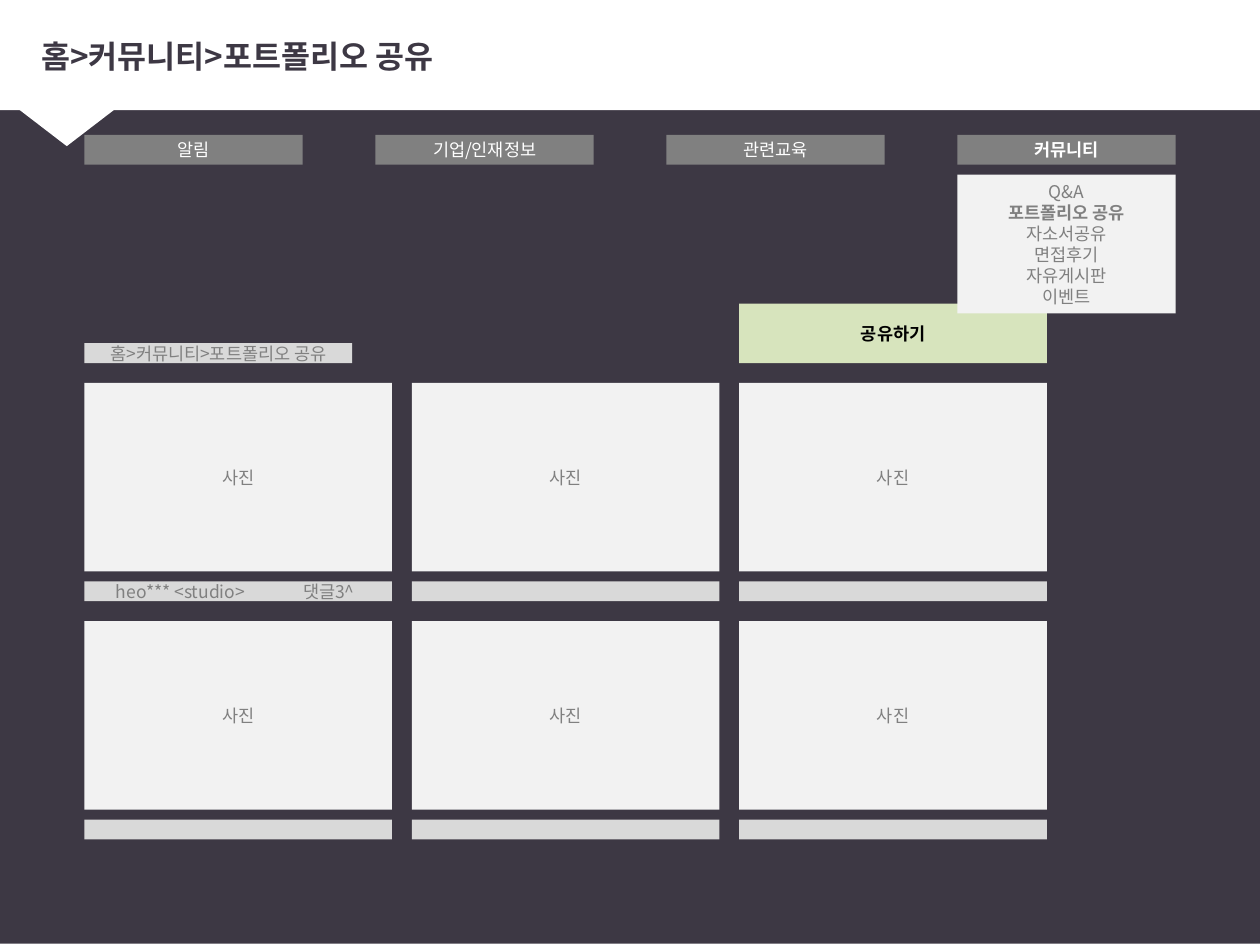
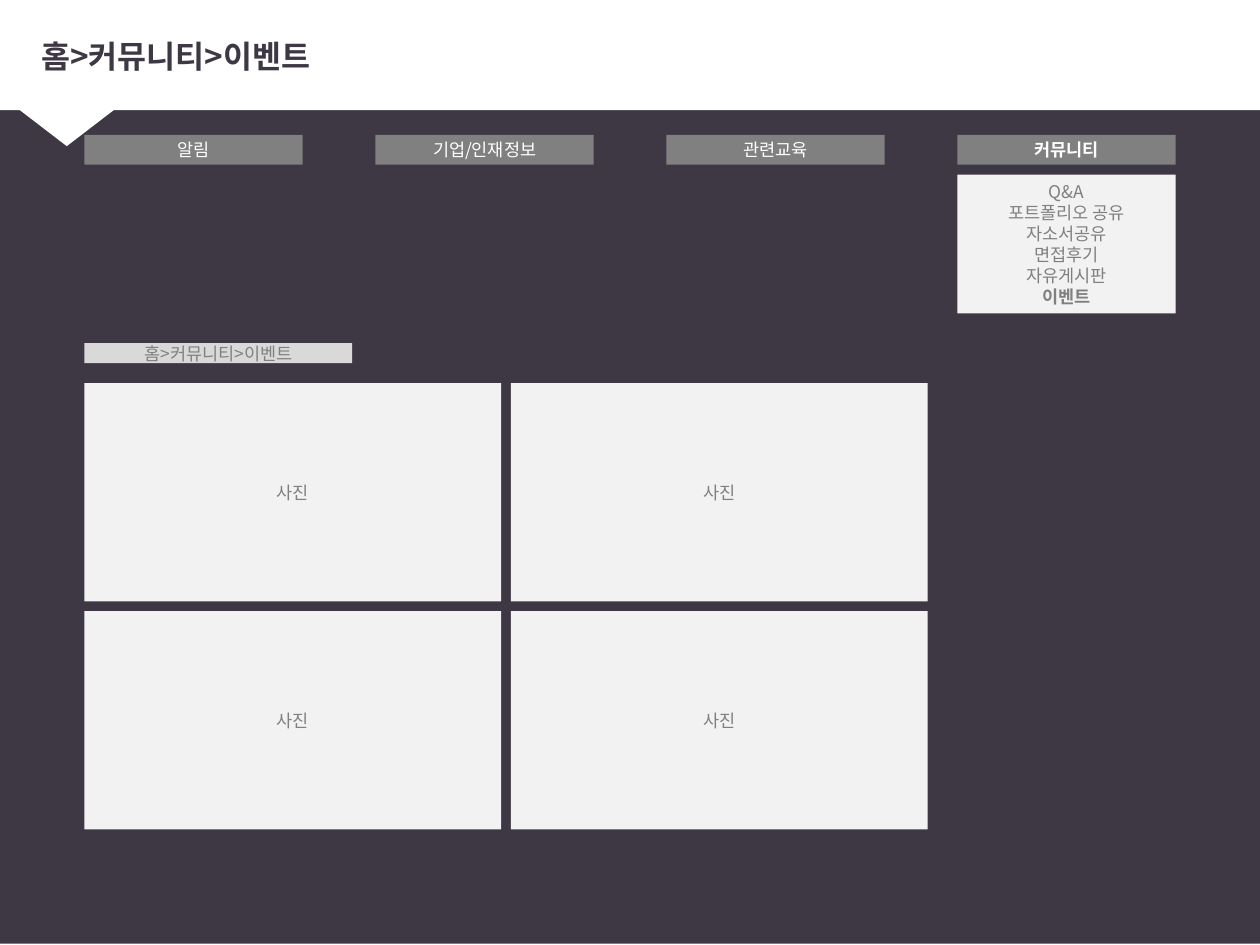
from dataclasses import dataclass
from pptx import Presentation
from pptx.dml.color import RGBColor
from pptx.enum.shapes import MSO_SHAPE as Shape
from pptx.enum.text import MSO_ANCHOR as Anchor, PP_ALIGN as Align
from pptx.oxml.ns import qn
from pptx.util import Pt
from lxml.etree import SubElement

NAV = ["알림", "기업/인재정보", "관련교육", "커뮤니티"]
MENU = ["Q&A", "포트폴리오 공유", "자소서공유", "면접후기", "자유게시판", "이벤트"]
SECTION = "커뮤니티"
PHOTO = "사진"
SHARE = "공유하기"
PAGES = [
    dict(page="포트폴리오 공유", cols=3, rows=2, size=(31, 19), gap=(2, 5),
         post=("heo*** <studio>", "댓글3^"), share=True),
    dict(page="이벤트", cols=2, rows=2, size=(42, 22), gap=(1, 1),
         post=None, share=False),
]


@dataclass(frozen=True)
class Theme:
    font: str = "Noto Sans CJK KR"
    dark: str = "3D3844"
    white: str = "FFFFFF"
    grey: str = "808080"
    bar: str = "D9D9D9"
    panel: str = "F2F2F2"
    green: str = "D7E4BD"
    black: str = "000000"
    title: int = 18
    body: int = 10
    menu_line: int = 12


T = Theme()
WIDTH, HEIGHT = 720, 540
UNIT = 5.67
LEFT, TOP = 48.2, 77.1
NAV_WIDTH = 22 * UNIT
NAV_STEP = (WIDTH - 2 * LEFT - NAV_WIDTH) / (len(NAV) - 1)
NAV_RIGHT = LEFT + (len(NAV) - 1) * NAV_STEP
POST_INDENT, POST_TAB = 18, 107


def down(units):
    return TOP + units * UNIT


def add_run(p, text, color, size=T.body, bold=False):
    r = p.add_run()
    r.text = text
    r.font.name, r.font.size, r.font.bold = T.font, Pt(size), bold
    r.font.color.rgb = RGBColor.from_string(color)
    SubElement(r._r.get_or_add_rPr(), qn("a:ea")).set("typeface", T.font)


def add_box(s, x, y, w, h, fill, kind=Shape.RECTANGLE):
    sp = s.shapes.add_shape(kind, Pt(x), Pt(y), Pt(w), Pt(h))
    sp.shadow.inherit = False
    sp.fill.solid()
    sp.fill.fore_color.rgb = RGBColor.from_string(fill)
    sp.line.fill.background()
    tf = sp.text_frame
    tf.word_wrap = True
    tf.vertical_anchor = Anchor.MIDDLE
    tf.margin_left = tf.margin_right = tf.margin_top = tf.margin_bottom = 0
    return sp


def add_label(s, x, y, w, h, fill, lines, color, current=None, spacing=None):
    tf = add_box(s, x, y, w, h, fill).text_frame
    for i, line in enumerate(lines):
        p = tf.add_paragraph() if i else tf.paragraphs[0]
        p.alignment = Align.CENTER
        if spacing:
            p.line_spacing = Pt(spacing)
        add_run(p, line, color, bold=line == current)


def add_frame(s, crumb):
    add_box(s, 0, 0, WIDTH, HEIGHT - 0.7, T.dark)
    add_box(s, 0, 0, WIDTH, 63, T.white)
    add_box(s, -14.4, 43.2, 105.1, 40.3, T.white, Shape.ISOSCELES_TRIANGLE).rotation = 180
    tf = s.shapes.add_textbox(Pt(16.6), Pt(9.4), Pt(695.5), Pt(44.6)).text_frame
    tf.word_wrap = True
    tf.vertical_anchor = Anchor.MIDDLE
    add_run(tf.paragraphs[0], crumb, T.dark, T.title, True)
    for i, name in enumerate(NAV):
        add_label(s, LEFT + i * NAV_STEP, TOP, NAV_WIDTH, 3 * UNIT, T.grey,
                  [name], T.white, SECTION)
    add_label(s, LEFT, down(21), 27 * UNIT, 2 * UNIT, T.bar, [crumb], T.grey)


def add_post(sp, author, replies):
    tf = sp.text_frame
    tf.margin_left = Pt(POST_INDENT)
    p = tf.paragraphs[0]
    p.alignment = Align.LEFT
    tabs = SubElement(p._p.get_or_add_pPr(), qn("a:tabLst"))
    tab = SubElement(tabs, qn("a:tab"))
    tab.set("pos", str(Pt(POST_TAB)))
    tab.set("algn", "l")
    add_run(p, author + "\t", T.grey)
    add_run(p, replies, T.grey)


def add_gallery(s, cols, rows, size, gap, post):
    w, h = (n * UNIT for n in size)
    for row in range(rows):
        for col in range(cols):
            x = LEFT + col * (w + gap[0] * UNIT)
            y = down(25 + row * (size[1] + gap[1]))
            add_label(s, x, y, w, h, T.panel, [PHOTO], T.grey)
            if post:
                sp = add_box(s, x, y + h + UNIT, w, 2 * UNIT, T.bar)
                if row == col == 0:
                    add_post(sp, *post)


prs = Presentation()
prs.slide_width, prs.slide_height = Pt(WIDTH), Pt(HEIGHT)
for page in PAGES:
    s = prs.slides.add_slide(prs.slide_layouts[6])
    add_frame(s, ">".join(["홈", SECTION, page["page"]]))
    add_gallery(s, page["cols"], page["rows"], page["size"], page["gap"], page["post"])
    if page["share"]:
        add_label(s, LEFT + 66 * UNIT, down(17), 31 * UNIT, 6 * UNIT, T.green,
                  [SHARE], T.black, SHARE)
    add_label(s, NAV_RIGHT, down(4), NAV_WIDTH, 14 * UNIT, T.panel,
              MENU, T.grey, page["page"], T.menu_line)
prs.save("out.pptx")
